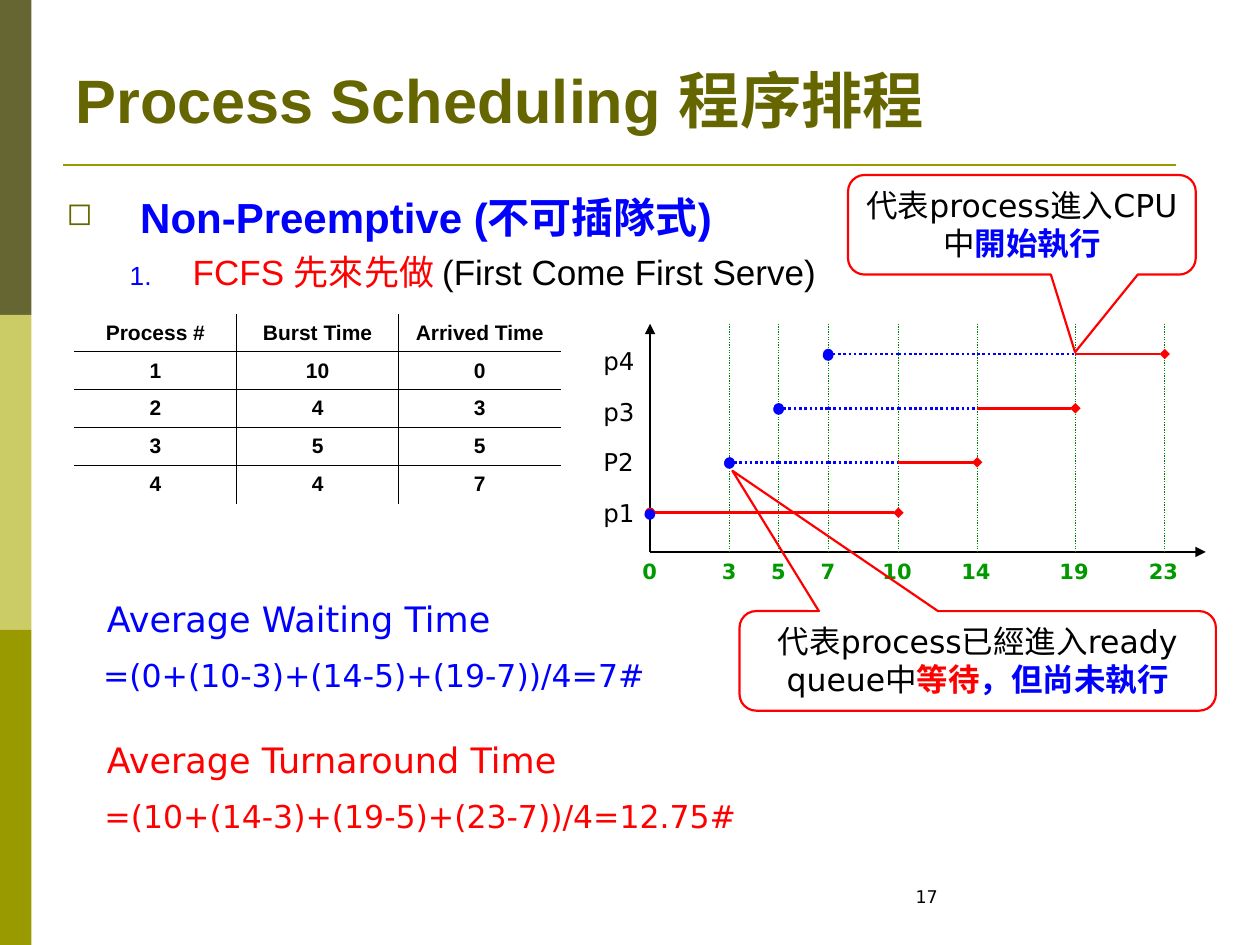
from dataclasses import dataclass

from lxml.etree import SubElement
from pptx import Presentation
from pptx.dml.color import RGBColor
from pptx.enum.dml import MSO_LINE_DASH_STYLE as Dash
from pptx.enum.shapes import MSO_CONNECTOR as Connector, MSO_SHAPE as Shape
from pptx.enum.text import MSO_ANCHOR as Anchor, PP_ALIGN as Align
from pptx.oxml.ns import qn
from pptx.util import Pt


@dataclass(frozen=True)
class Theme:
    black: str = "000000"
    blue: str = "0000FF"
    red: str = "FF0000"
    grid: str = "008000"
    tick: str = "009900"
    title: str = "666600"
    rule: str = "999900"
    bands: tuple = ("666633", "CCCC66", "999900")
    heading_font: str = "Arial"
    body_font: str = "DejaVu Sans"
    title_size: int = 35
    topic_size: int = 24
    item_size: int = 20
    formula_size: int = 18
    label_size: int = 14
    small_size: int = 12
    page_size: int = 10
    dot_size: int = 8


THEME = Theme()

PROCESSES = [("1", 10, 0), ("2", 4, 3), ("3", 5, 5), ("4", 4, 7)]  # name, burst, arrival
TICK_X = {0: 371.5, 3: 416.9, 5: 445, 7: 473.3, 10: 513.4, 14: 558.4, 19: 614.5, 23: 665.6}
ROW_Y = [293, 264.2, 233.3, 202.3]
AXIS_TOP, AXIS_BOTTOM, AXIS_RIGHT = 185, 315.4, 689


def write(paragraph, *runs, size, color=THEME.black, font=THEME.body_font, bold=False,
          align=Align.LEFT, before=0, spacing=None):
    """Fill a paragraph; a run is a string, or (string, color, bold) to override the format."""
    paragraph.alignment = align
    paragraph.space_before = Pt(before)
    if spacing:
        paragraph.line_spacing = spacing
    for part in runs:
        text, run_color, run_bold = (part, color, bold) if isinstance(part, str) else part
        run = paragraph.add_run()
        run.text = text
        run.font.size, run.font.name, run.font.bold = Pt(size), font, run_bold
        run.font.color.rgb = RGBColor.from_string(run_color)


def add_text(slide, box, *lines, size, **style):
    """Add a text box with one paragraph for each line and return its frame."""
    frame = slide.shapes.add_textbox(*map(Pt, box)).text_frame
    frame.word_wrap = True
    for index, line in enumerate(lines):
        paragraph = frame.add_paragraph() if index else frame.paragraphs[0]
        write(paragraph, line, size=size, before=0.625 * size, **style)
    return frame


def add_line(slide, start, end, color, width=1.5, dash=None, head=None, tail=None):
    line = slide.shapes.add_connector(Connector.STRAIGHT, *map(Pt, (*start, *end)))
    line.line.width = Pt(width)
    line.line.color.rgb = RGBColor.from_string(color)
    if dash:
        line.line.dash_style = dash
    properties = line._element.spPr
    for tag, kind in (("a:headEnd", head), ("a:tailEnd", tail)):
        if kind:
            SubElement(properties.find(qn("a:ln")), qn(tag), type=kind)
    SubElement(properties, qn("a:effectLst"))


def add_callout(slide, box, pointer, *runs):
    callout = slide.shapes.add_shape(Shape.ROUNDED_RECTANGULAR_CALLOUT, *map(Pt, box))
    callout.shadow.inherit = False
    callout.fill.background()
    callout.line.width = Pt(1.25)
    callout.line.color.rgb = RGBColor.from_string(THEME.red)
    callout.adjustments[0], callout.adjustments[1] = pointer
    frame = callout.text_frame
    frame.word_wrap = True
    frame.vertical_anchor = Anchor.TOP
    write(frame.paragraphs[0], *runs, size=THEME.formula_size, align=Align.CENTER)


def set_bullet(paragraph, margin, hanging, color, tag, **marker):
    properties = paragraph._p.get_or_add_pPr()
    properties.set("marL", str(Pt(margin)))
    properties.set("indent", str(-Pt(hanging)))
    SubElement(SubElement(properties, qn("a:buClr")), qn("a:srgbClr"), val=color)
    SubElement(properties, qn("a:buSzPct"), val="75000")
    SubElement(properties, qn(tag), **marker)


def set_border(cell, side, visible):
    border = SubElement(cell._tc.get_or_add_tcPr(), qn(f"a:ln{side}"), w=str(Pt(0.45)))
    if visible:
        SubElement(SubElement(border, qn("a:solidFill")), qn("a:srgbClr"), val=THEME.black)
    else:
        SubElement(border, qn("a:noFill"))


def add_frame(slide):
    """Draw the side bands, the title and the rule below it."""
    for index, color in enumerate(THEME.bands):
        band = slide.shapes.add_shape(Shape.RECTANGLE, Pt(0), Pt(180 * index), Pt(18), Pt(180))
        band.shadow.inherit = False
        band.fill.solid()
        band.fill.fore_color.rgb = RGBColor.from_string(color)
        band.line.fill.background()
    add_line(slide, (36, 94.3), (671.8, 94.3), THEME.rule)
    title = slide.shapes.title
    title.left, title.top, title.width, title.height = map(Pt, (36, 31.7, 658.8, 49.7))
    title.text_frame.vertical_anchor = Anchor.BOTTOM
    write(title.text_frame.paragraphs[0], "Process Scheduling 程序排程", size=THEME.title_size,
          color=THEME.title, font=THEME.heading_font, bold=True)


def add_outline(slide):
    frame = add_text(slide, (31, 105.8, 658, 385), size=THEME.topic_size)
    topic, method = frame.paragraphs[0], frame.add_paragraph()
    write(topic, "Non-Preemptive (不可插隊式)", size=THEME.topic_size, color=THEME.blue,
          font=THEME.heading_font, bold=True, before=6)
    set_bullet(topic, 42, 42, THEME.title, "a:buChar", char="◻")
    method.level = 1
    write(method, ("FCFS 先來先做 ", THEME.red, False), "(First Come First Serve)",
          size=THEME.item_size, font=THEME.heading_font, before=5)
    set_bullet(method, 72, 36, THEME.blue, "a:buAutoNum", type="arabicPeriod")


def add_process_table(slide):
    rows = [("Process #", "Burst Time", "Arrived Time"), *PROCESSES]
    last_row, last_column = len(rows) - 1, len(rows[0]) - 1
    table = slide.shapes.add_table(len(rows), len(rows[0]), Pt(42.5), Pt(179.3),
                                   Pt(278), Pt(108.5)).table
    table.first_row = table.horz_banding = False
    for r, values in enumerate(rows):
        for c, value in enumerate(values):
            cell = table.cell(r, c)
            inner = {"L": c > 0, "R": c < last_column, "T": r > 0, "B": r < last_row}
            for side, visible in inner.items():
                set_border(cell, side, visible)
            cell.fill.background()
            cell.vertical_anchor = Anchor.MIDDLE
            write(cell.text_frame.paragraphs[0], str(value), size=THEME.small_size,
                  font=THEME.heading_font, bold=True, align=Align.CENTER, before=3)


def add_axes(slide):
    origin = (TICK_X[0], AXIS_BOTTOM)
    for end in ((TICK_X[0], AXIS_TOP), (AXIS_RIGHT, AXIS_BOTTOM)):
        add_line(slide, origin, end, THEME.black, 0.75, tail="triangle")
    add_text(slide, (337.7, 190.8, 41, 114.5), "p4", "p3", "P2", "p1",
             size=THEME.label_size, spacing=1.2)
    for time, x in TICK_X.items():
        if time:
            add_line(slide, (x, AXIS_TOP), (x, AXIS_BOTTOM), THEME.grid, 0.75, Dash.ROUND_DOT)
        offset, width = (11.5, 23) if time < 10 else (16.2, 39.6)
        add_text(slide, (x - offset, AXIS_BOTTOM, width, 21.6), str(time),
                 size=THEME.small_size, color=THEME.tick, bold=True)


def add_schedule(slide):
    """Run the processes in order of arrival: dotted while waiting, solid while running."""
    times, clock = list(TICK_X), 0
    for (_, burst, arrival), y in zip(PROCESSES, ROW_Y):
        start = max(clock, arrival)
        clock = start + burst
        for begin, end in zip(times, times[1:]):
            if arrival <= begin < clock:
                waiting = begin < start
                add_line(slide, (TICK_X[begin], y), (TICK_X[end], y),
                         THEME.blue if waiting else THEME.red,
                         dash=Dash.ROUND_DOT if waiting else None,
                         head="oval" if begin == arrival else None,
                         tail="diamond" if end == clock else None)
        add_text(slide, (TICK_X[arrival] - 10.6, y - 8.3, 51, 17.3), "●",
                 size=THEME.dot_size, color=THEME.blue)


def add_averages(slide):
    averages = [
        (337.7, "Average Waiting Time", 51.8, "=(0+(10-3)+(14-5)+(19-7))/4=7#", THEME.blue),
        (418.3, "Average Turnaround Time", 52.6, "=(10+(14-3)+(19-5)+(23-7))/4=12.75#",
         THEME.red),
    ]
    for top, heading, left, formula, color in averages:
        add_text(slide, (54, top, 459, 31.7), heading, size=THEME.item_size, color=color)
        add_text(slide, (left, top + 33.8, 430, 28.8), formula,
                 size=THEME.formula_size, color=color)


def main():
    deck = Presentation()
    deck.slide_width, deck.slide_height = Pt(720), Pt(540)
    slide = deck.slides.add_slide(deck.slide_layouts[5])
    add_frame(slide)
    add_outline(slide)
    add_process_table(slide)
    add_axes(slide)
    add_schedule(slide)
    add_averages(slide)
    add_callout(slide, (422.6, 349.2, 272.2, 56.9), (-0.515, -1.91),
                "代表process已經進入ready queue中", ("等待", THEME.red, True),
                ("，但尚未執行", THEME.blue, True))
    add_callout(slide, (484.6, 100, 198.7, 56.9), (0.153, 1.28),
                "代表process進入CPU中", ("開始執行", THEME.blue, True))
    add_text(slide, (516.2, 502.6, 167.8, 25.2), "17", size=THEME.page_size)
    deck.save("out.pptx")


if __name__ == "__main__":
    main()
